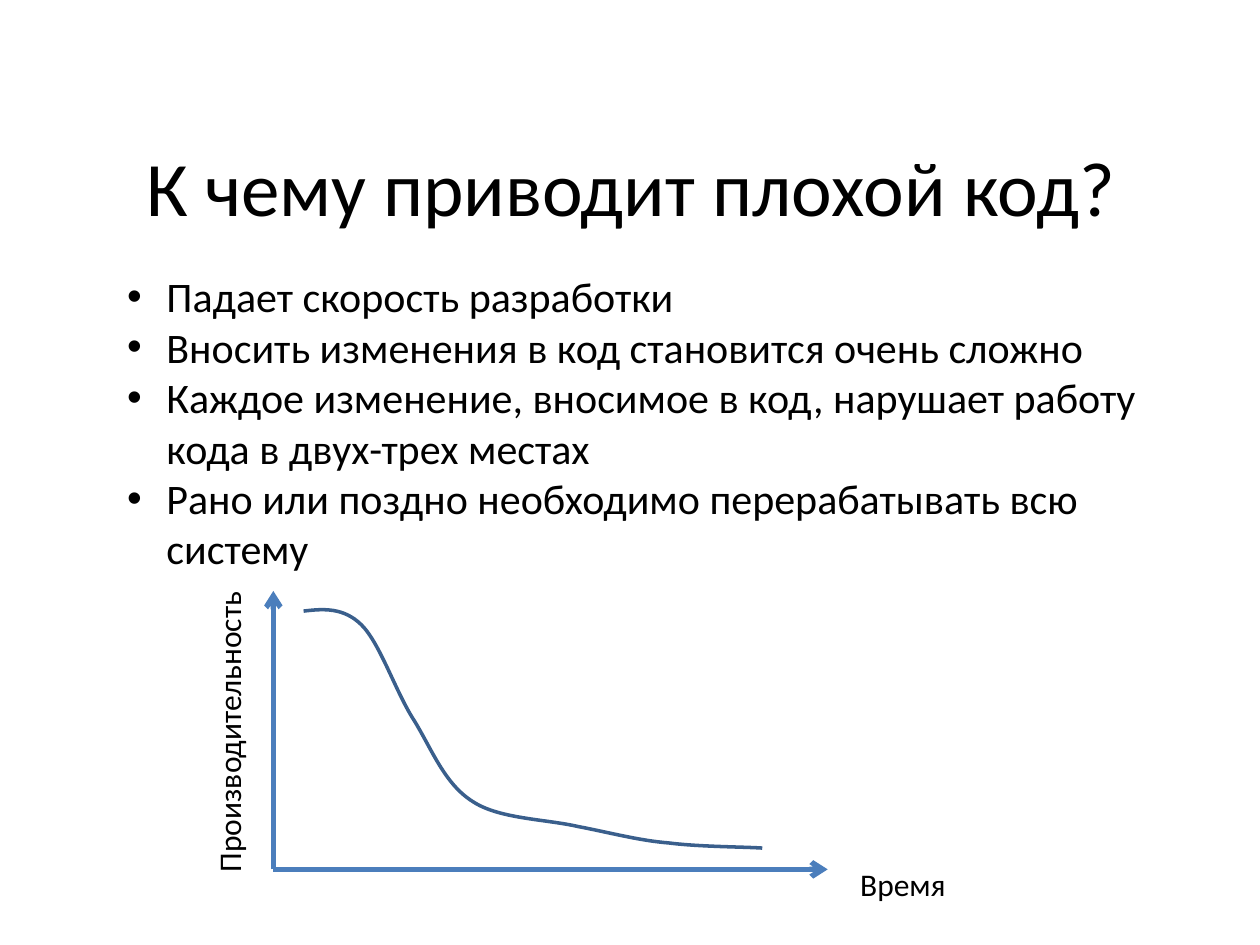
from lxml.etree import SubElement
from pptx import Presentation
from pptx.dml.color import RGBColor
from pptx.enum.shapes import MSO_CONNECTOR
from pptx.enum.text import MSO_ANCHOR, MSO_AUTO_SIZE as FIT, PP_ALIGN
from pptx.oxml.ns import qn
from pptx.util import Pt

FONT = "Calibri"
COLORS = {"text": "000000", "axis": "4B7EBC", "curve": "3A5F8C"}

TITLE = "К чему приводит плохой код?"
BULLETS = [
    "Падает скорость разработки",
    "Вносить изменения в код становится очень сложно",
    "Каждое изменение, вносимое в код, нарушает работу кода в двух-трех местах",
    "Рано или поздно необходимо перерабатывать всю систему",
]

# Start point, then three Bezier points per segment, relative to the chart box
CURVE = [
    (17.3, 11.5),
    (28.8, 10.1), (40.3, 9.4), (50.4, 19.4),
    (61.2, 30.2), (69.8, 57.6), (80.6, 74.2),
    (90.7, 90.7), (97.9, 110.2), (113.8, 120.2),
    (128.9, 130.3), (155.5, 130.3), (174.2, 134.6),
    (193, 138.2), (208.8, 142.6), (226.1, 144),
    (243.4, 146.2), (269.3, 146.2), (279.4, 146.9),
]


def rgb(name):
    return RGBColor.from_string(COLORS[name])


def add_text(slide, box, lines, size, wrap=True, fit=FIT.SHAPE_TO_FIT_TEXT):
    sp = slide.shapes.add_textbox(*map(Pt, box))
    tf = sp.text_frame
    tf.word_wrap = wrap
    tf.auto_size = fit
    for i, line in enumerate(lines):
        p = tf.paragraphs[0] if i == 0 else tf.add_paragraph()
        r = p.add_run()
        r.text = line
        r.font.name, r.font.size = FONT, Pt(size)
        r.font.color.rgb = rgb("text")
    return sp


def style_line(sp, color, width):
    sp.line.color.rgb = rgb(color)
    sp.line.width = Pt(width)


def add_title(slide, box):
    tf = add_text(slide, box, [TITLE], 44, fit=FIT.NONE).text_frame
    tf.vertical_anchor = MSO_ANCHOR.MIDDLE
    tf.paragraphs[0].alignment = PP_ALIGN.CENTER


def add_bullets(slide, box):
    indent = Pt(22.5)
    for p in add_text(slide, box, BULLETS, 24).text_frame.paragraphs:
        pPr = p._p.get_or_add_pPr()
        pPr.set("marL", str(indent))
        pPr.set("indent", str(-indent))
        SubElement(pPr, qn("a:buFont"), typeface="Arial")
        SubElement(pPr, qn("a:buChar"), char="•")


def add_axis(slide, x1, y1, x2, y2):
    axis = slide.shapes.add_connector(MSO_CONNECTOR.STRAIGHT, *map(Pt, (x1, y1, x2, y2)))
    style_line(axis, "axis", 3)
    SubElement(axis.line._get_or_add_ln(), qn("a:tailEnd"), type="arrow")
    SubElement(axis._element.spPr, qn("a:effectLst"))


def add_curve(slide, x, y):
    start, *points = [(Pt(px), Pt(py)) for px, py in CURVE]
    builder = slide.shapes.build_freeform(*start)
    builder.add_line_segments(points, close=False)
    sp = builder.convert_to_shape(Pt(x), Pt(y))
    sp.shadow.inherit = False
    sp.fill.background()
    style_line(sp, "curve", 2)
    # Turn each three line steps into one Bezier segment
    steps = list(sp._element.iter(qn("a:lnTo")))
    for i in range(0, len(steps), 3):
        bezier = SubElement(steps[i].getparent(), qn("a:cubicBezTo"))
        for step in steps[i:i + 3]:
            bezier.append(step[0])
            step.getparent().remove(step)


def add_productivity_chart(slide, box):
    x, y, w, h = box
    add_axis(slide, x, y + h, x, y)
    add_axis(slide, x, y + h, x + w, y + h)
    add_curve(slide, x, y)
    # Axis labels
    add_text(slide, (x + w + 11.5, y + h - 6, 64, 29), ["Время"], 18, wrap=False)
    label_w, label_h = 176.4, 29
    label = add_text(
        slide, (x - 25.5 - label_w / 2, y + h / 2 - label_h / 2, label_w, label_h),
        ["Производительность"], 18, wrap=False)
    label.rotation = 270


def main():
    prs = Presentation()
    prs.slide_width, prs.slide_height = Pt(720), Pt(540)
    slide = prs.slides.add_slide(prs.slide_layouts[6])
    add_title(slide, (36.7, 61.2, 648, 90))
    add_bullets(slide, (65.5, 151.2, 601.2, 181.4))
    add_productivity_chart(slide, (156.2, 337.7, 316.8, 159.1))
    prs.save("out.pptx")


if __name__ == "__main__":
    main()
